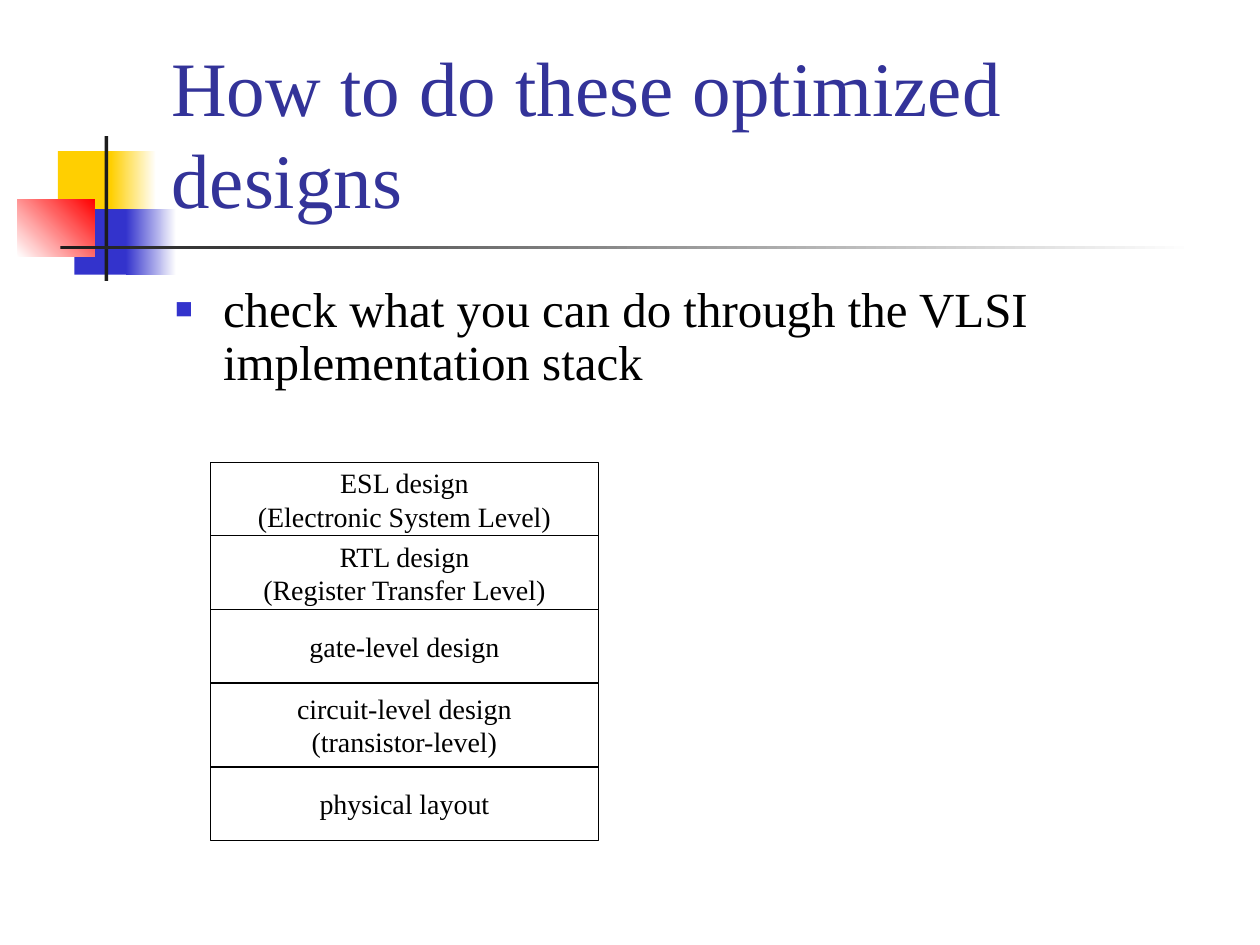
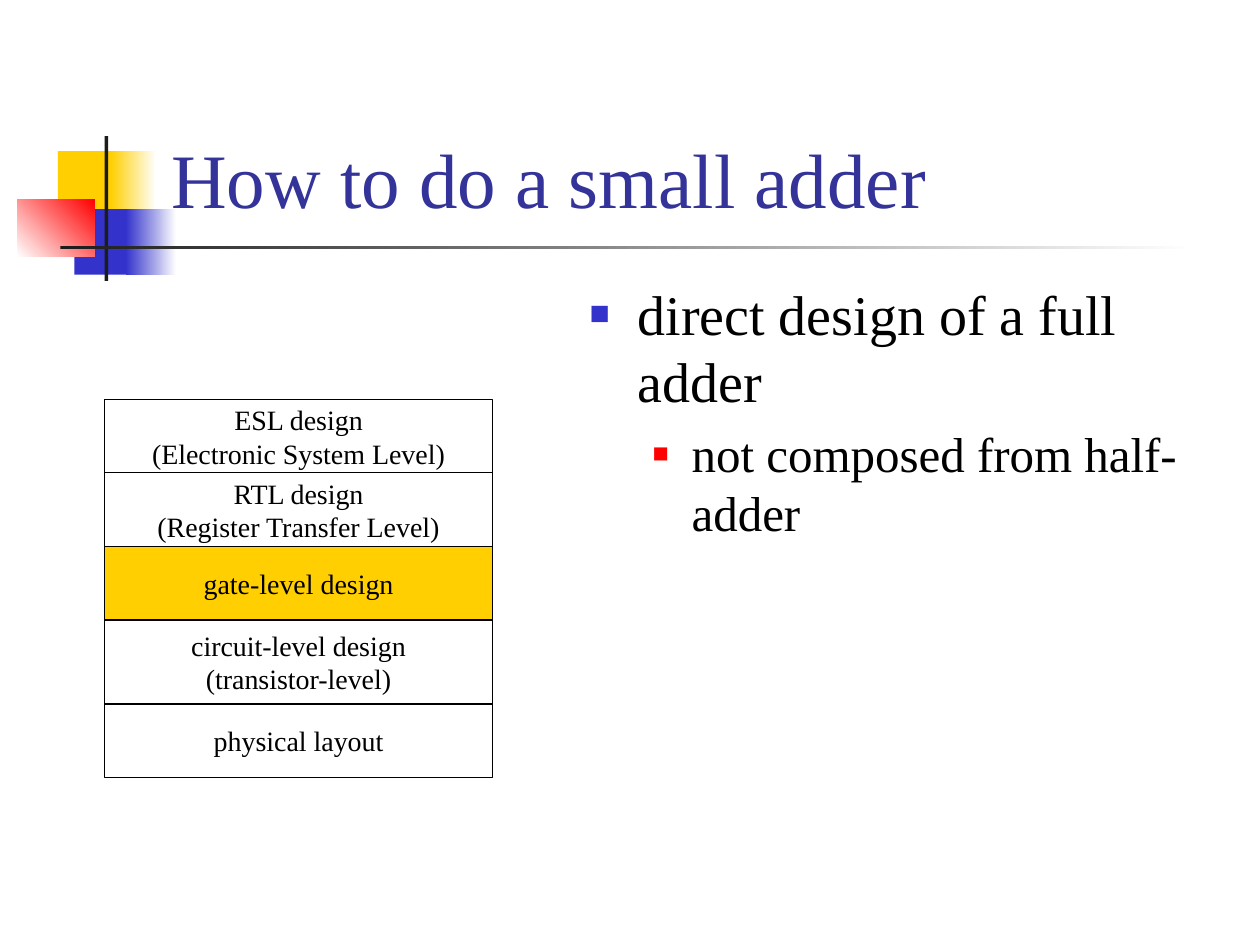
from lxml.etree import SubElement
from pptx import Presentation
from pptx.dml.color import RGBColor
from pptx.enum.shapes import MSO_SHAPE
from pptx.enum.text import MSO_ANCHOR, MSO_AUTO_SIZE, PP_ALIGN
from pptx.oxml.ns import qn
from pptx.util import Inches, Pt

FONT = "Times New Roman"
BLACK = RGBColor(0x00, 0x00, 0x00)
WHITE = RGBColor(0xFF, 0xFF, 0xFF)
CHARCOAL = RGBColor(0x1C, 0x1C, 0x1C)
YELLOW = RGBColor(0xFF, 0xCF, 0x01)
BLUE = RGBColor(0x33, 0x33, 0xCC)
RED = RGBColor(0xFF, 0x00, 0x00)
TITLE_BLUE = RGBColor(0x33, 0x33, 0x99)

# Decoration of every slide: left, top, width, height, colours, gradient angle
DECORATION = [
    (0.46, 1.2, 0.48, 0.52, [YELLOW], 0),
    (0.88, 1.2, 0.36, 0.52, [YELLOW, WHITE], 0),
    (0.59, 1.66, 0.46, 0.52, [BLUE], 0),
    (1, 1.66, 0.4, 0.52, [BLUE, WHITE], 0),
    (0.14, 1.58, 0.61, 0.46, [WHITE, RED], 45),
    (0.83, 1.08, 0.03, 1.15, [CHARCOAL], 0),
    (0.48, 1.95, 9, 0.03, [CHARCOAL, WHITE], 0),
]

# Bullet levels: left margin, hanging indent, colour, size in percent
BULLETS = [(0.38, 0.38, BLUE, 60), (0.81, 0.31, RED, 55)]

# Design stack, top to bottom: lines and height
STACK_WIDTH = 3.08
ROW = 7 / 12
STACK = [
    (["ESL design", "(Electronic System Level)"], ROW),
    (["RTL design", "(Register Transfer Level)"], ROW),
    (["gate-level design"], ROW),
    (["circuit-level design", "(transistor-level)"], 2 / 3),
    (["physical layout"], ROW),
]


def write_text(paragraph, text, size, color=BLACK, align=None, line_spacing=None):
    run = paragraph.add_run()
    run.text = text
    run.font.name = FONT
    run.font.size = Pt(size)
    run.font.color.rgb = color
    paragraph.alignment = align
    paragraph.line_spacing = line_spacing


def place(shape, left, top, width, height):
    shape.left, shape.top = Inches(left), Inches(top)
    shape.width, shape.height = Inches(width), Inches(height)


def paragraph_at(text_frame, index):
    return text_frame.add_paragraph() if index else text_frame.paragraphs[0]


def add_rectangle(shapes, left, top, width, height, colors=(), angle=0):
    """Add a rectangle without fill, with a plain fill or with a gradient."""
    shape = shapes.add_shape(MSO_SHAPE.RECTANGLE, Inches(left), Inches(top),
                             Inches(width), Inches(height))
    shape.shadow.inherit = False
    shape.line.fill.background()
    if not colors:
        shape.fill.background()
    elif len(colors) == 1:
        shape.fill.solid()
        shape.fill.fore_color.rgb = colors[0]
    else:
        shape.fill.gradient()
        shape.fill.gradient_angle = angle
        for stop, color in zip(shape.fill.gradient_stops, colors):
            stop.color.rgb = color
    return shape


def decorate_master(master, slide):
    """Draw the decoration with a slide's tools and move it to the master."""
    title = master.placeholders[0]
    place(title, 1.26, 0.23, 8.52, 1.6)
    title.text_frame.vertical_anchor = MSO_ANCHOR.BOTTOM
    tree = master.shapes.element
    for index, (left, top, width, height, colors, angle) in enumerate(DECORATION):
        shape = add_rectangle(slide.shapes, left, top, width, height, colors, angle)
        shape.element.xpath(".//p:cNvPr")[0].set("id", str(100 + index))
        tree.insert(2 + index, shape.element)


def set_bullet(paragraph, level):
    margin, hanging, color, percent = BULLETS[level]
    paragraph.level = level
    properties = paragraph._p.get_or_add_pPr()
    properties.set("marL", str(Inches(margin)))
    properties.set("indent", str(-Inches(hanging)))
    bullet_color = SubElement(properties, qn("a:buClr"))
    SubElement(bullet_color, qn("a:srgbClr")).set("val", str(color))
    SubElement(properties, qn("a:buSzPct")).set("val", str(percent * 1000))
    SubElement(properties, qn("a:buFont")).set("typeface", FONT)
    SubElement(properties, qn("a:buChar")).set("char", "\u25a0")


def add_title(slide, text):
    text_frame = slide.shapes.title.text_frame
    text_frame.auto_size = MSO_AUTO_SIZE.NONE
    write_text(text_frame.paragraphs[0], text, 44, TITLE_BLUE, PP_ALIGN.LEFT)


def add_bullets(slide, box, items, line_spacing=None):
    """Fill the body placeholder with (text, level, size) items."""
    body = slide.placeholders[1]
    place(body, *box)
    body.text_frame.auto_size = MSO_AUTO_SIZE.NONE
    for index, (text, level, size) in enumerate(items):
        paragraph = paragraph_at(body.text_frame, index)
        write_text(paragraph, text, size, line_spacing=line_spacing)
        set_bullet(paragraph, level)


def add_stack(shapes, left, top, highlight=None):
    """Pile up the design levels, with one of them filled if asked."""
    for index, (lines, height) in enumerate(STACK):
        colors = [YELLOW] if index == highlight else []
        shape = add_rectangle(shapes, left, top, STACK_WIDTH, height, colors)
        shape.line.color.rgb = BLACK
        shape.line.width = Pt(0.75)
        text_frame = shape.text_frame
        text_frame.word_wrap = False
        text_frame.vertical_anchor = MSO_ANCHOR.MIDDLE
        for number, line in enumerate(lines):
            write_text(paragraph_at(text_frame, number), line, 16,
                       align=PP_ALIGN.CENTER)
        top += height


def main():
    presentation = Presentation()
    presentation.slide_width = Inches(10)
    presentation.slide_height = Inches(7.5)
    layout = presentation.slide_layouts[1]

    # Slide 1: the whole stack
    slide = presentation.slides.add_slide(layout)
    decorate_master(presentation.slide_master, slide)
    add_title(slide, "How to do these optimized designs")
    add_bullets(slide, (1.29, 2.21, 8.5, 0.96), [
        ("check what you can do through the VLSI implementation stack", 0, 28),
    ], line_spacing=0.9)
    add_stack(slide.shapes.add_group_shape().shapes, 1.67, 3.67)

    # Slide 2: the gate level
    slide = presentation.slides.add_slide(layout)
    add_title(slide, "How to do a small adder")
    add_bullets(slide, (4.58, 2.17, 5.25, 4.5), [
        ("direct design of a full adder", 0, 32),
        ("not composed from half-adder", 1, 28),
    ])
    add_stack(slide.shapes, 0.83, 3.17, highlight=2)

    presentation.save("out.pptx")


main()
